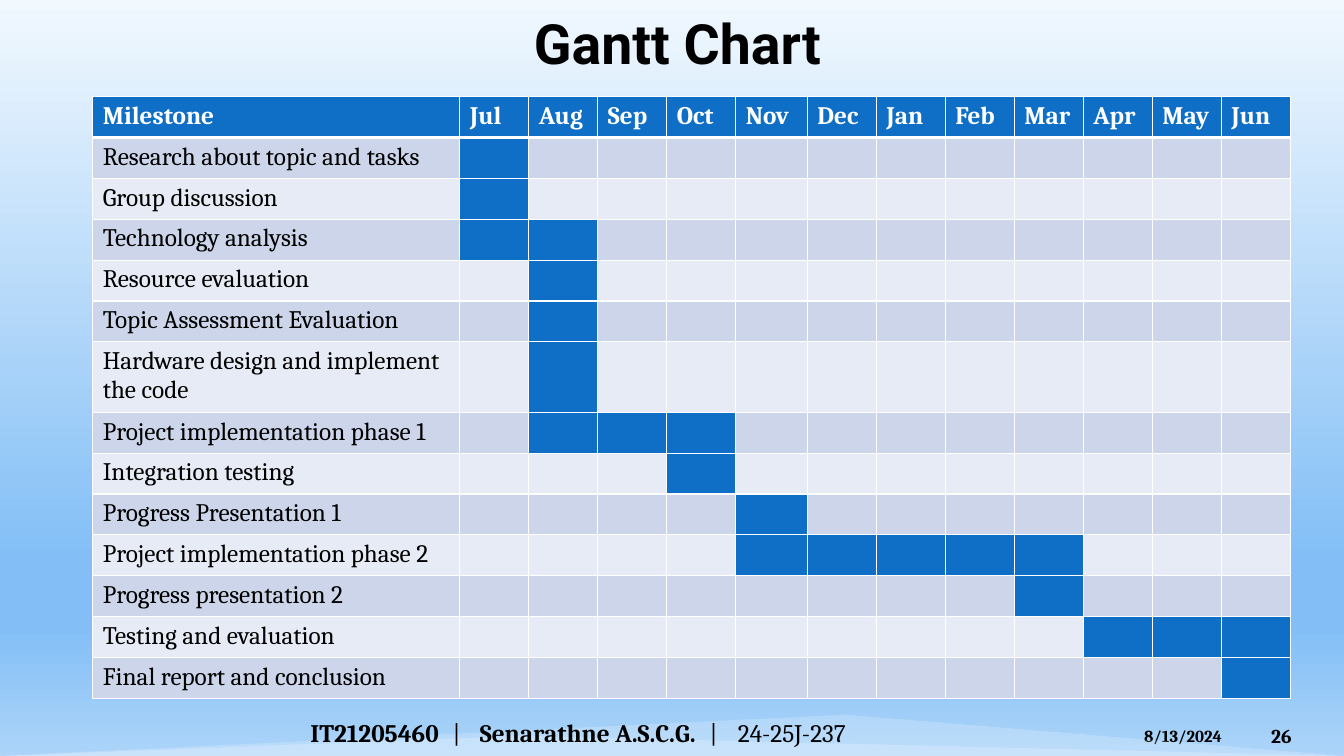
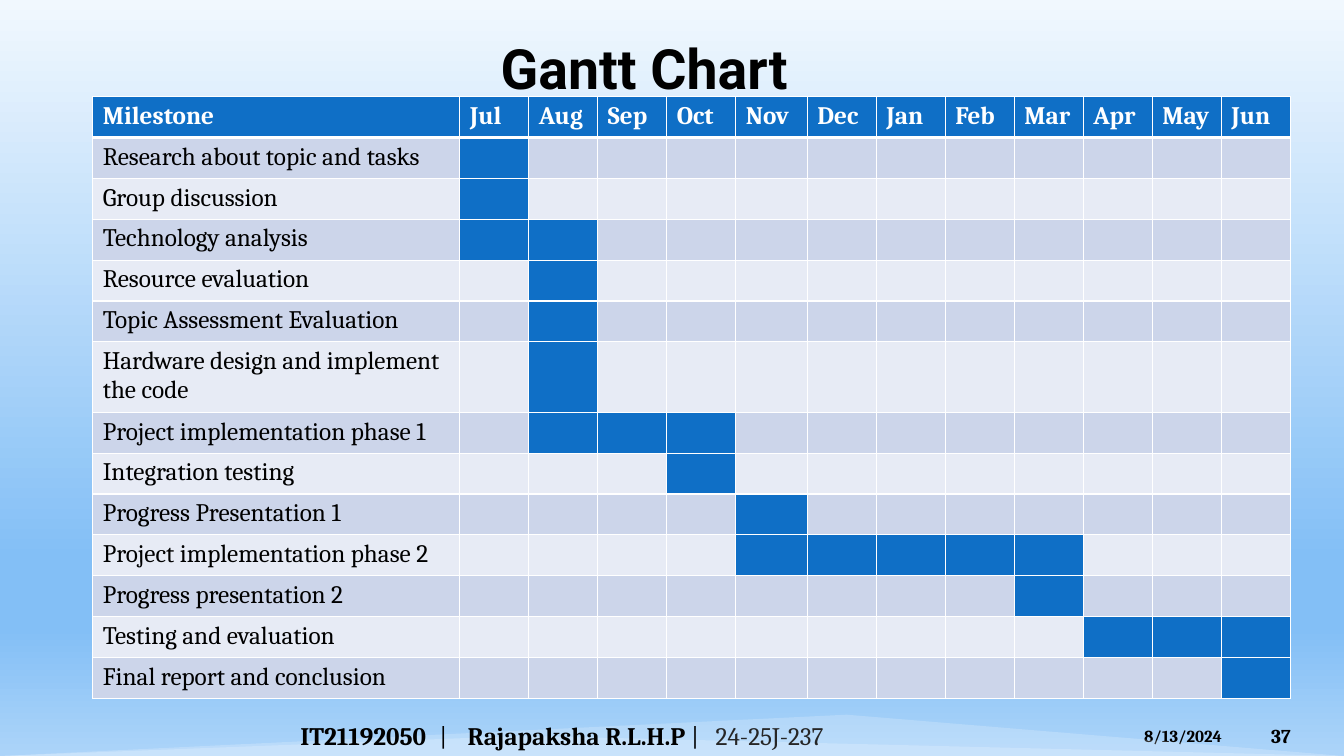
from copy import deepcopy

from lxml.etree import SubElement
from pptx import Presentation
from pptx.dml.color import RGBColor
from pptx.enum.shapes import MSO_SHAPE as Shape
from pptx.enum.text import MSO_ANCHOR as Anchor, PP_ALIGN as Align
from pptx.oxml.ns import qn
from pptx.util import Inches, Pt

WIDTH, HEIGHT = 13.33, 7.5
BLACK, GREY, WHITE = "000000", "262626", "FFFFFF"
BLUE = "0F6FC6"
BANDS = ("CCD5EA", "E7EBF5")
SKY = ((0, "F1F8FE"), (74, "83BFF6"), (83, "83BFF6"), (100, "ACD4F9"))
BODY_FONT, TITLE_FONT = "Cambria", "Roboto"

DATE = "8/13/2024"
PROJECT = "24-25J-237"
MONTHS = ("Jul", "Aug", "Sep", "Oct", "Nov", "Dec",
          "Jan", "Feb", "Mar", "Apr", "May", "Jun")
# Milestone, first month, last month
MILESTONES = (
    ("Research about topic and tasks", "Jul", "Jul"),
    ("Group discussion", "Jul", "Jul"),
    ("Technology analysis", "Jul", "Aug"),
    ("Resource evaluation", "Aug", "Aug"),
    ("Topic Assessment Evaluation", "Aug", "Aug"),
    ("Hardware design and implement the code", "Aug", "Aug"),
    ("Project implementation phase 1", "Aug", "Oct"),
    ("Integration testing", "Oct", "Oct"),
    ("Progress Presentation 1", "Nov", "Nov"),
    ("Project implementation phase 2", "Nov", "Mar"),
    ("Progress presentation 2", "Mar", "Mar"),
    ("Testing and evaluation", "Apr", "Jun"),
    ("Final report and conclusion", "Jun", "Jun"),
)
TABLE_BOX = (0.92, 0.96, 11.88, 5.94)
MILESTONE_WIDTH, NOVEMBER_WIDTH = 3.64, 0.71
TWO_LINE_ROW, TWO_LINE_HEIGHT = 6, 0.67


def color(hex_string):
    return RGBColor.from_string(hex_string)


def inches(box):
    return [Inches(length) for length in box]


def write(frame, runs, font=BODY_FONT, size=18, fill=BLACK, bold=False,
          align=Align.LEFT, tabs=()):
    """Write a string, or a list of (text, format changes), as one paragraph."""
    paragraph = frame.paragraphs[0]
    if tabs:
        tab_list = SubElement(paragraph._p.get_or_add_pPr(), qn("a:tabLst"))
        for stop in tabs:
            SubElement(tab_list, qn("a:tab"), pos=str(Inches(stop)), algn="l")
    paragraph.alignment = align
    for text, changes in [(runs, {})] if isinstance(runs, str) else runs:
        run = paragraph.add_run()
        run.text = text
        run.font.name = font
        run.font.size = Pt(size)
        run.font.bold = changes.get("bold", bold)
        run.font.color.rgb = color(changes.get("fill", fill))


def add_text(slide, box, runs, anchor=Anchor.MIDDLE, **text_format):
    frame = slide.shapes.add_textbox(*inches(box)).text_frame
    frame.word_wrap = True
    frame.vertical_anchor = anchor
    write(frame, runs, **text_format)


def set_background(master):
    fill = master.background.fill
    fill.gradient()
    fill.gradient_angle = 270
    stop_list = master.element.find(".//" + qn("a:gsLst"))
    for _ in range(len(SKY) - len(stop_list)):
        stop_list.append(deepcopy(stop_list[0]))
    for stop, (position, hex_string) in zip(fill.gradient_stops, SKY):
        stop.position = position / 100
        stop.color.rgb = color(hex_string)


def add_hill(slide, box, peak):
    """Add a see-through white triangle with its tip at the given share of its width."""
    hill = slide.shapes.add_shape(Shape.ISOSCELES_TRIANGLE, *inches(box))
    hill.adjustments[0] = peak
    hill.shadow.inherit = False
    hill.line.fill.background()
    hill.fill.solid()
    hill.fill.fore_color.rgb = color(WHITE)
    white = hill.fill._xPr.find(".//" + qn("a:srgbClr"))
    SubElement(white, qn("a:alpha"), val="20000")


def add_footer(slide, number):
    add_text(slide, (12.51, 7.1, 0.74, 0.4), number, size=14, bold=True)
    add_text(slide, (11.25, 7.15, 1.17, 0.3), DATE, size=12, bold=True,
             anchor=Anchor.TOP)
    add_hill(slide, (0, 7.09, WIDTH, 0.41), 0.63)
    add_hill(slide, (0, 7.3, WIDTH, 0.2), 0.39)


def style_cell(cell, fill, bottom=1):
    properties = cell._tc.get_or_add_tcPr()
    for side, width in (("L", 1), ("R", 1), ("T", 1), ("B", bottom)):
        line = SubElement(properties, qn("a:ln" + side), w=str(Pt(width)))
        SubElement(SubElement(line, qn("a:solidFill")), qn("a:srgbClr"), val=WHITE)
    cell.fill.solid()
    cell.fill.fore_color.rgb = color(fill)


def add_gantt_table(slide, box):
    table = slide.shapes.add_table(len(MILESTONES) + 1, len(MONTHS) + 1,
                                   *inches(box)).table
    table.first_row = table.horz_banding = False

    month_width = (box[2] - MILESTONE_WIDTH - NOVEMBER_WIDTH) / (len(MONTHS) - 1)
    for column in table.columns:
        column.width = Inches(month_width)
    table.columns[0].width = Inches(MILESTONE_WIDTH)
    table.columns[MONTHS.index("Nov") + 1].width = Inches(NOVEMBER_WIDTH)
    for row in table.rows:
        row.height = Inches((box[3] - TWO_LINE_HEIGHT) / len(MILESTONES))
    table.rows[TWO_LINE_ROW].height = Inches(TWO_LINE_HEIGHT)

    for column, heading in enumerate(("Milestone",) + MONTHS):
        cell = table.cell(0, column)
        style_cell(cell, BLUE, bottom=3)
        write(cell.text_frame, heading, fill=WHITE, bold=True)
    for row, (milestone, first, last) in enumerate(MILESTONES, 1):
        band = BANDS[(row - 1) % 2]
        label = table.cell(row, 0)
        style_cell(label, band)
        write(label.text_frame, milestone)
        for month in range(len(MONTHS)):
            active = MONTHS.index(first) <= month <= MONTHS.index(last)
            style_cell(table.cell(row, month + 1), BLUE if active else band)


def add_gantt_slide(presentation, number, title_box, author_box, author, tabs):
    slide = presentation.slides.add_slide(presentation.slide_layouts[6])
    add_footer(slide, number)
    add_text(slide, title_box, "Gantt Chart", font=TITLE_FONT, size=39.6,
             bold=True, align=Align.CENTER)
    add_gantt_table(slide, TABLE_BOX)
    add_text(slide, author_box, author, tabs=tabs)


def main():
    presentation = Presentation()
    presentation.slide_width = Inches(WIDTH)
    presentation.slide_height = Inches(HEIGHT)
    set_background(presentation.slide_master)
    strong = {"bold": True}
    add_gantt_slide(
        presentation, "26", (0.33, 0.07, 12.78, 0.7), (2.98, 7.07, 7.45, 0.4),
        [("IT21205460", strong), ("\t|\t", {}), ("Senarathne A.S.C.G.", strong),
         ("\t|\t" + PROJECT, {})],
        tabs=(1.41, 1.68, 3.96, 4.24))
    add_gantt_slide(
        presentation, "37", (0, 0.32, 12.78, 0.7), (2.88, 7.1, 7.45, 0.4),
        [("IT21192050", strong), ("\t|\t", {}), ("Rajapaksha R.L.H.P ", strong),
         ("|\t", {}), (PROJECT, {"fill": GREY})],
        tabs=(1.38, 1.66, 4.12))
    presentation.save("out.pptx")


if __name__ == "__main__":
    main()
